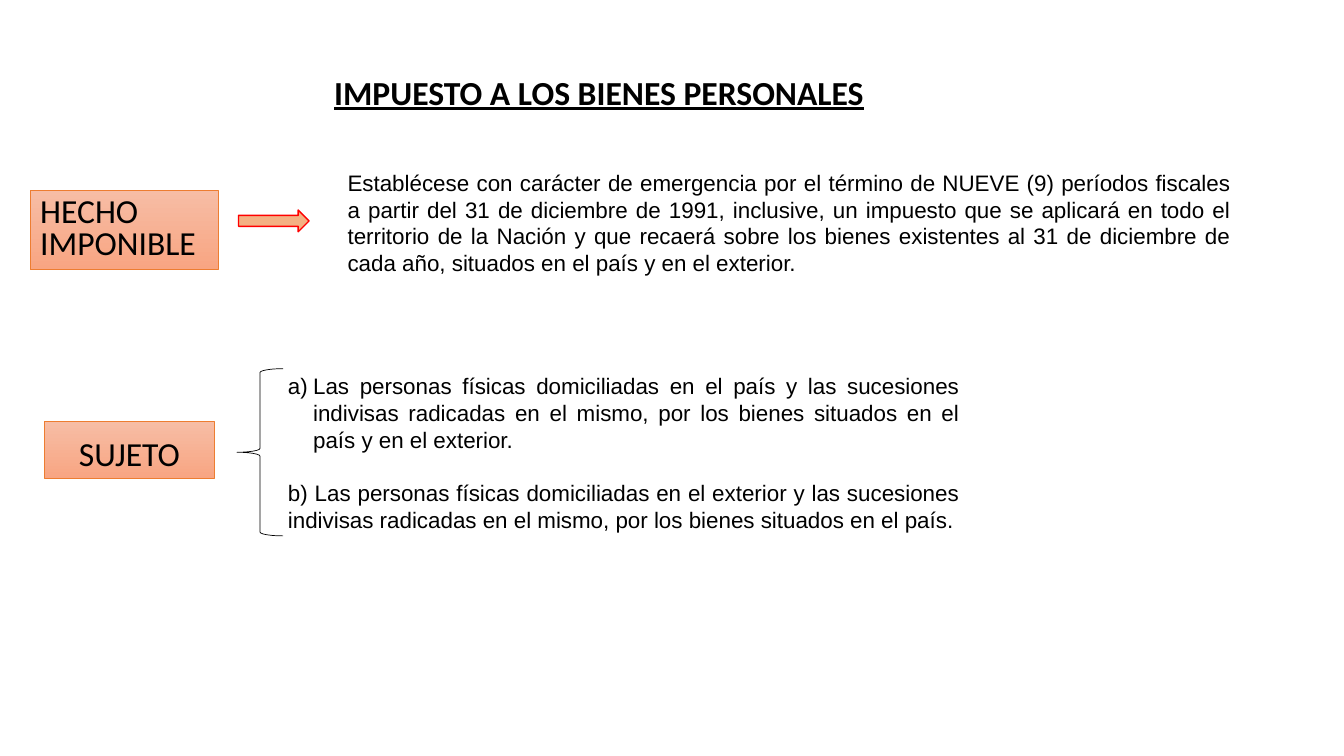
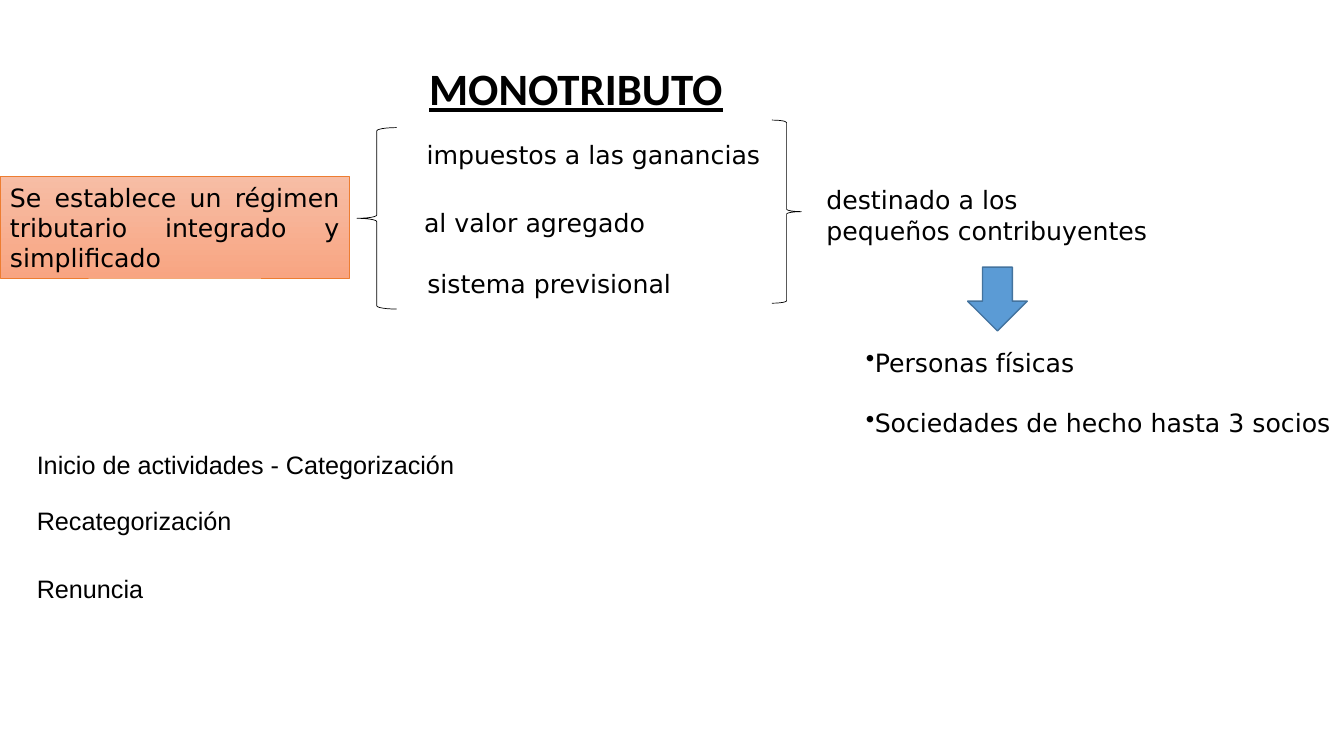
from lxml import etree
from pptx import Presentation
from pptx import util as u
from pptx.dml.color import RGBColor
from pptx.enum import shapes, text
from pptx.oxml import ns

BLACK = RGBColor(0x00, 0x00, 0x00)
PEACH_LIGHT = RGBColor(0xF7, 0xBD, 0xA5)
PEACH_DARK = RGBColor(0xF8, 0xA5, 0x82)
ORANGE = RGBColor(0xED, 0x7D, 0x31)
TAN = RGBColor(0xF4, 0xB1, 0x83)
RED = RGBColor(0xFF, 0x00, 0x00)
BLUE = RGBColor(0x5B, 0x9B, 0xD5)
NAVY = RGBColor(0x43, 0x73, 0x9E)

HEAD, BODY, PLAIN = "Calibri", "Arial", "DejaVu Sans"
COLS, ROWS = 160, 90
SHAPE = shapes.MSO_SHAPE
LEFT, CENTER, JUSTIFY = text.PP_ALIGN.LEFT, text.PP_ALIGN.CENTER, text.PP_ALIGN.JUSTIFY
TOP, MIDDLE, BOTTOM = text.MSO_ANCHOR.TOP, text.MSO_ANCHOR.MIDDLE, text.MSO_ANCHOR.BOTTOM


class Deck:
    def __init__(self):
        self.prs = Presentation()
        self.prs.slide_width = u.Inches(13.33)
        self.prs.slide_height = u.Inches(7.5)
        self.s = None

    def slide(self):
        self.s = self.prs.slides.add_slide(self.prs.slide_layouts[6])

    def area(self, col, row, cols, rows):
        w, h = self.prs.slide_width / COLS, self.prs.slide_height / ROWS
        return [round(v) for v in (col * w, row * h, cols * w, rows * h)]

    def fill_text(self, sp, lines, font, size, align=LEFT, anchor=TOP, spacing=1.0,
                  bold=False, wrap=True, gap=0):
        tf = sp.text_frame
        tf.word_wrap = wrap
        tf.vertical_anchor = anchor
        if not wrap:
            tf.auto_size = text.MSO_AUTO_SIZE.SHAPE_TO_FIT_TEXT
        for i, line in enumerate(lines):
            p = tf.add_paragraph() if i else tf.paragraphs[0]
            p.text = line
            p.alignment = align
            p.line_spacing = spacing
            if i and gap:
                p.space_before = u.Pt(gap)
            p.font.name, p.font.size = font, u.Pt(size)
            p.font.color.rgb = BLACK
            p.font.bold = p.font.underline = bold
        return tf.paragraphs

    def text(self, box, lines, font=PLAIN, size=18, **style):
        sp = self.s.shapes.add_textbox(*self.area(*box))
        return self.fill_text(sp, lines, font, size, **style)

    def title(self, box, words, size, anchor=TOP):
        self.text(box, [words], HEAD, size, anchor=anchor, spacing=1.7, bold=True)

    def shape(self, kind, box, line, width, fill=None):
        sp = self.s.shapes.add_shape(kind, *self.area(*box))
        sp.shadow.inherit = False
        sp.line.color.rgb = line
        sp.line.width = u.Pt(width)
        if fill is None:
            sp.fill.background()
        else:
            sp.fill.solid()
            sp.fill.fore_color.rgb = fill
        return sp

    def label(self, box, words, font, size, **style):
        sp = self.shape(SHAPE.RECTANGLE, box, ORANGE, 0.5)
        sp.fill.gradient()
        sp.fill.gradient_angle = 270
        for stop, color in zip(sp.fill.gradient_stops, (PEACH_LIGHT, PEACH_DARK)):
            stop.color.rgb = color
        self.fill_text(sp, [words], font, size, **style)

    def brace(self, kind, box):
        self.shape(kind, box, BLACK, 0.5)

    def bullet(self, p, tag, indent=0, **attrs):
        ppr = p._p.get_or_add_pPr()
        ppr.set("marL", str(u.Inches(indent)))
        ppr.set("indent", str(-u.Inches(indent)))
        mark = etree.Element(ns.qn(tag), attrs)
        ppr.insert_element_before(mark, "a:tabLst", "a:defRPr", "a:extLst")


def personal_assets(d):
    d.slide()
    d.title((38.6, 4.4, 67.6, 9.7), "IMPUESTO A LOS BIENES PERSONALES", 24, MIDDLE)
    d.label((3.6, 22.7, 22.4, 9.4), "HECHO IMPONIBLE", HEAD, 24, anchor=MIDDLE, spacing=0.8)
    d.shape(SHAPE.RIGHT_ARROW, (28.4, 25, 8.4, 2.6), RED, 1, TAN)
    d.text((40.2, 19.4, 107.5, 14.2), [
        "Establécese con carácter de emergencia por el término de NUEVE (9) períodos "
        "fiscales a partir del 31 de diciembre de 1991, inclusive, un impuesto que se "
        "aplicará en todo el territorio de la Nación y que recaerá sobre los bienes "
        "existentes al 31 de diciembre de cada año, situados en el país y en el exterior."],
        BODY, 16, align=JUSTIFY, anchor=MIDDLE)
    d.label((5.3, 50.2, 20.2, 6.8), "SUJETO", HEAD, 24, align=CENTER, anchor=BOTTOM, spacing=0.9)
    subjects = d.text((33.1, 43.6, 82.3, 20.6), [
        "Las personas físicas domiciliadas en el país y las sucesiones indivisas "
        "radicadas en el mismo, por los bienes situados en el país y en el exterior.",
        "b) Las personas físicas domiciliadas en el exterior y las sucesiones indivisas "
        "radicadas en el mismo, por los bienes situados en el país."],
        BODY, 16, align=JUSTIFY, anchor=MIDDLE, gap=19)
    d.bullet(subjects[0], "a:buAutoNum", 0.25, type="alphaLcParenR")
    d.brace(SHAPE.LEFT_BRACE, (28.2, 43.9, 5.5, 19.9))


def simplified_regime(d):
    d.slide()
    d.title((49.9, 2.2, 37.7, 12.2), "MONOTRIBUTO", 32)
    d.label((0, 21, 41.6, 12.1), "Se establece un régimen tributario integrado y simplificado",
            PLAIN, 18, align=JUSTIFY, anchor=MIDDLE)
    for col, row, cols, tax in ((49.6, 16, 42.4, "impuestos a las ganancias"),
                                (49.3, 24.1, 28.9, "al valor agregado"),
                                (49.7, 31.4, 31.7, "sistema previsional")):
        d.text((col, row, cols, 4.8), [tax], wrap=False)
    d.text((97.2, 21.4, 40.8, 8.5), ["destinado a los pequeños contribuyentes"])
    d.brace(SHAPE.LEFT_BRACE, (42.5, 15.2, 4.7, 21.6))
    d.brace(SHAPE.RIGHT_BRACE, (91.9, 14.3, 3.5, 21.8))
    d.shape(SHAPE.DOWN_ARROW, (115.2, 31.8, 7.1, 7.6), NAVY, 1, BLUE)
    for p in d.text((101.9, 37.1, 58.2, 15.7),
                    ["Personas físicas", "Sociedades de hecho hasta 3 socios"],
                    spacing=2.0, wrap=False):
        d.bullet(p, "a:buChar", char="•")
    for row, rows, step in ((51.1, 6.7, "Inicio de actividades - Categorización"),
                            (58.1, 6, "Recategorización"),
                            (66.1, 6, "Renuncia")):
        d.text((3.2, row, 57.2, rows), [step], BODY, align=JUSTIFY, anchor=MIDDLE, spacing=1.5)


def main():
    d = Deck()
    personal_assets(d)
    simplified_regime(d)
    d.prs.save("out.pptx")


if __name__ == "__main__":
    main()
